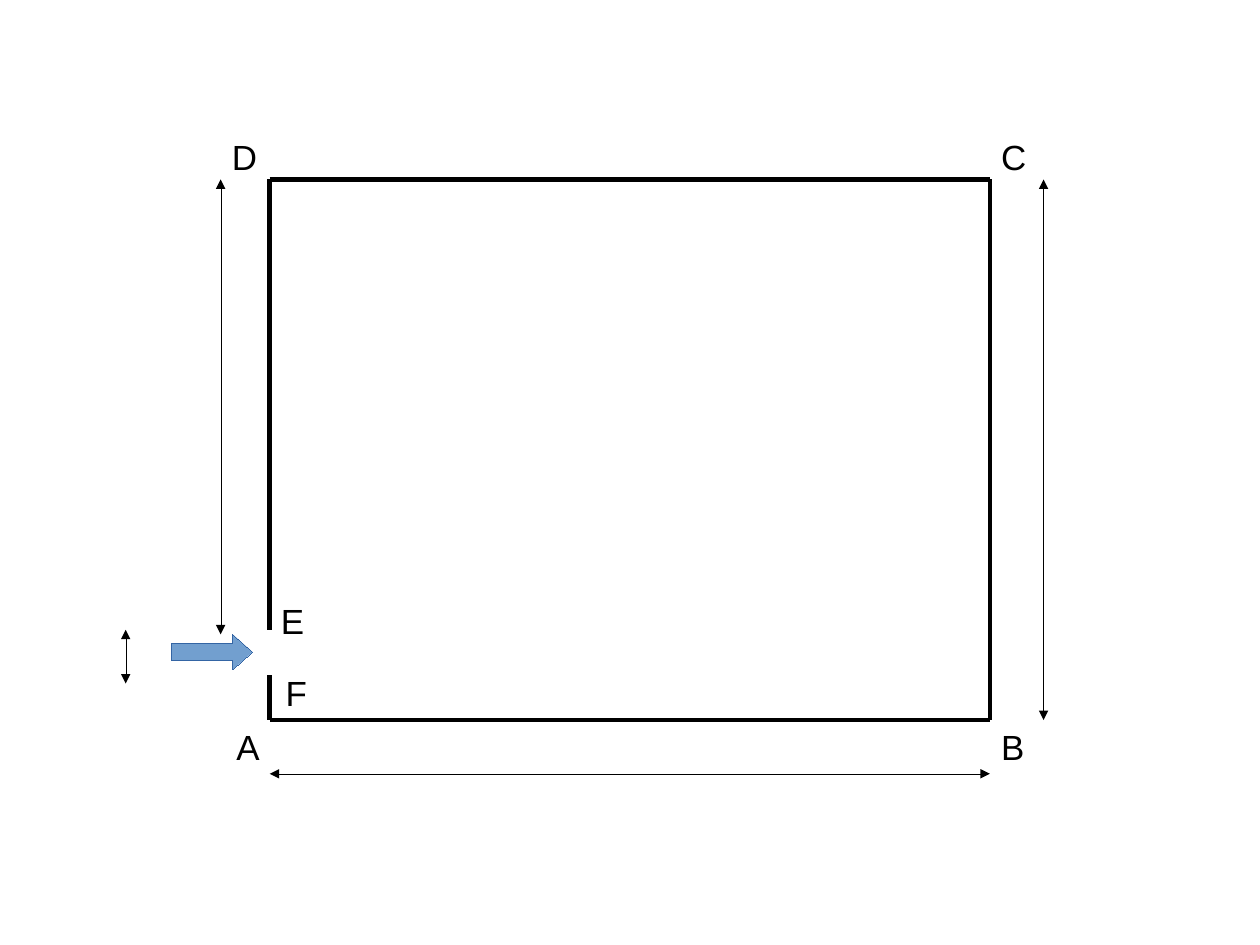
from pptx import Presentation
from pptx import util as u
from pptx.dml.color import RGBColor
from pptx.enum import shapes, text
from pptx.oxml.ns import qn
from lxml import etree

COLORS = {"ink": "000000", "arrow": "729FCF", "arrow_edge": "3465A4"}
LEFT, RIGHT, TOP, BOTTOM = 2.36, 8.66, 1.57, 6.3
DOOR_TOP, DOOR_BOTTOM = 5.51, 5.91
LABEL_TOP, LABEL_HEIGHT = 1.14, 0.44


class FloorPlan:
    font = "Arial"
    label_size = 22
    wall_width = 2.83
    hairline = 0

    def __init__(self, page):
        self.shapes = page.shapes

    def color(self, name):
        return RGBColor.from_string(COLORS[name])

    def outline(self, shape, color, width):
        """Set the line and drop the theme style, which would thicken hairlines."""
        shape.line.color.rgb = self.color(color)
        shape.line.width = u.Pt(width)
        shape._element.remove(shape._element.find(qn("p:style")))

    def line(self, start, end, width):
        connector = self.shapes.add_connector(
            shapes.MSO_CONNECTOR.STRAIGHT, *map(u.Inches, start + end))
        self.outline(connector, "ink", width)
        etree.SubElement(connector._element.spPr, qn("a:effectLst"))
        return connector

    def wall(self, start, end):
        self.line(start, end, self.wall_width)

    def dimension(self, start, end):
        """Draw a hairline with an arrowhead at both ends."""
        connector = self.line(start, end, self.hairline)
        properties = connector._element.spPr.find(qn("a:ln"))
        for tag in ("a:headEnd", "a:tailEnd"):
            etree.SubElement(properties, qn(tag), type="triangle")

    def entrance(self, left, top, width, height):
        arrow = self.shapes.add_shape(
            shapes.MSO_SHAPE.RIGHT_ARROW, *map(u.Inches, (left, top, width, height)))
        arrow.adjustments[0] = 0.5
        arrow.adjustments[1] = 0.56
        arrow.shadow.inherit = False
        arrow.fill.solid()
        arrow.fill.fore_color.rgb = self.color("arrow")
        self.outline(arrow, "arrow_edge", self.hairline)

    def label(self, letter, left, top, width=0.4):
        box = self.shapes.add_textbox(
            *map(u.Inches, (left, top, width, LABEL_HEIGHT)))
        frame = box.text_frame
        frame.word_wrap = False
        frame.auto_size = text.MSO_AUTO_SIZE.SHAPE_TO_FIT_TEXT
        para = frame.paragraphs[0]
        para.text = letter
        para.font.name = self.font
        para.font.size = u.Pt(self.label_size)
        para.font.color.rgb = self.color("ink")


def main():
    deck = Presentation()
    deck.slide_width, deck.slide_height = u.Cm(28), u.Cm(21)
    plan = FloorPlan(deck.slides.add_slide(deck.slide_layouts[6]))

    plan.wall((LEFT, BOTTOM), (RIGHT, BOTTOM))
    plan.wall((LEFT, TOP), (RIGHT, TOP))
    plan.wall((RIGHT, TOP), (RIGHT, BOTTOM))
    plan.wall((LEFT, TOP), (LEFT, DOOR_TOP))
    plan.wall((LEFT, DOOR_BOTTOM), (LEFT, BOTTOM))
    plan.entrance(1.5, 5.55, 0.71, 0.31)

    plan.dimension((LEFT, 6.77), (RIGHT, 6.77))
    plan.dimension((9.13, TOP), (9.13, BOTTOM))
    plan.dimension((1.93, 5.55), (1.93, TOP))
    plan.dimension((1.1, DOOR_TOP), (1.1, 5.98))

    plan.label("A", 1.97, BOTTOM)
    plan.label("B", RIGHT, BOTTOM)
    plan.label("C", RIGHT, LABEL_TOP, 0.42)
    plan.label("D", 1.93, LABEL_TOP, 0.42)
    plan.label("E", LEFT, 5.2)
    plan.label("F", 2.4, 5.83, 0.38)

    deck.save("out.pptx")


if __name__ == "__main__":
    main()
